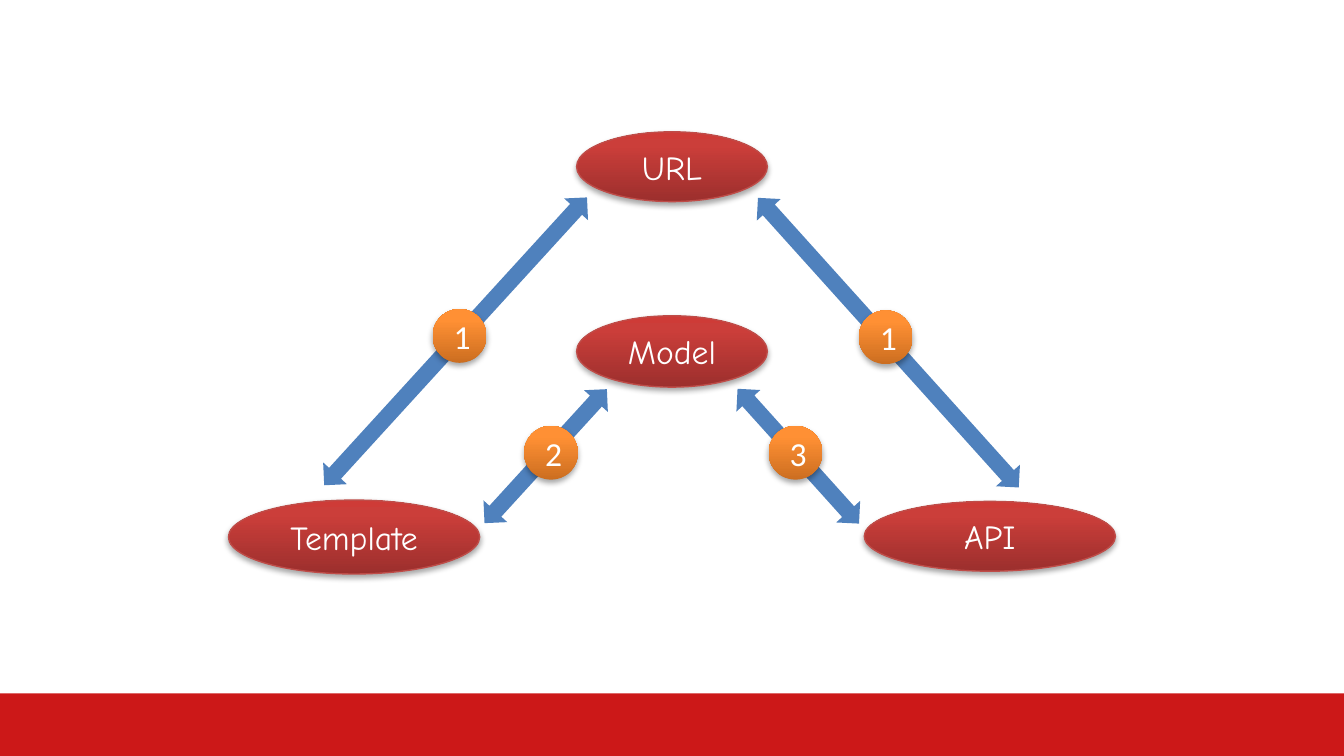
from copy import deepcopy

from lxml.etree import SubElement
from pptx import Presentation
from pptx.dml.color import RGBColor
from pptx.enum.shapes import MSO_SHAPE
from pptx.enum.text import MSO_ANCHOR, PP_ALIGN
from pptx.oxml.ns import qn
from pptx.util import Pt

RED_STOPS = ((0, "9C2F2D"), (0.8, "CB3E3A"), (1, "CE3B37"))
ORANGE_STOPS = ((0, "CC6E20"), (0.8, "FF9034"), (1, "FF9136"))
NODES = (
    ("Template", (0, 197.3, 134.6, 39.6)),
    ("Model", (186.5, 98.6, 102.2, 38.2)),
    ("API", (340.6, 198, 134.6, 37.4)),
    ("URL", (186.5, 0, 102.2, 37.4)),
)
ARROWS = (
    (113, 7.9, 208.8, 42.4),
    (161.3, 125.2, 97.2, 42.4),
    (296.6, 125.2, 97.2, 318),
    (344.9, 8.6, 208.8, 318),
)
BADGES = (
    ("1", 109.4, 95),
    ("1", 337.7, 95.7),
    ("2", 158.4, 157.6),
    ("3", 289.4, 157.6),
)
ARROW_WIDTH = 17.3
BADGE_SIZE = 28.8


def color(value):
    """Turn a hex string into a colour."""
    return RGBColor.from_string(value)


def add_plain(slide, preset, box, fill=None):
    """Add a shape without line or shadow, with an optional solid fill."""
    shape = slide.shapes.add_shape(preset, *map(Pt, box))
    shape.shadow.inherit = False
    shape.line.fill.background()
    if fill:
        shape.fill.solid()
        shape.fill.fore_color.rgb = color(fill)
    return shape


def set_gradient(shape, stops):
    """Fill a shape with a gradient that runs from bottom to top."""
    shape.fill.gradient()
    shape.fill.gradient_angle = 90
    stop_list = shape._element.spPr.find(".//" + qn("a:gsLst"))
    stop_list.append(deepcopy(stop_list[0]))
    for stop, (position, value) in zip(shape.fill.gradient_stops, stops):
        stop.position = position
        stop.color.rgb = color(value)


def add_shadow(shape):
    """Give a shape a soft shadow below it."""
    effects = shape._element.spPr.find(qn("a:effectLst"))
    shadow = SubElement(effects, qn("a:outerShdw"), blurRad=str(Pt(3.1)),
                        dist=str(Pt(1.8)), dir="5400000", rotWithShape="0")
    black = SubElement(shadow, qn("a:srgbClr"), val="000000")
    SubElement(black, qn("a:alpha"), val="35000")


def add_oval(slide, box, text, font_name, stops):
    """Add a shaded oval with a centred white label."""
    shape = add_plain(slide, MSO_SHAPE.FLOWCHART_CONNECTOR, box)
    set_gradient(shape, stops)
    add_shadow(shape)
    shape.text_frame.vertical_anchor = MSO_ANCHOR.MIDDLE
    paragraph = shape.text_frame.paragraphs[0]
    paragraph.alignment = PP_ALIGN.CENTER
    run = paragraph.add_run()
    run.text = text
    for name, value in {"name": font_name, "size": Pt(18)}.items():
        setattr(run.font, name, value)
    run.font.color.rgb = color("FFFFFF")
    return shape


def add_diagram(slide, left, top):
    """Place the nodes, the arrows between them and the numbered badges."""
    for text, (x, y, width, height) in NODES:
        node = add_oval(slide, (left + x, top + y, width, height),
                        text, "Comic Neue", RED_STOPS)
        node.line.color.rgb = color("BF4C48")
        node.line.width = Pt(0.75)
    for x, y, length, rotation in ARROWS:
        arrow = add_plain(slide, MSO_SHAPE.UP_DOWN_ARROW,
                          (left + x, top + y, ARROW_WIDTH, length), "4F81BD")
        arrow.rotation = rotation
    for text, x, y in BADGES:
        add_oval(slide, (left + x, top + y, BADGE_SIZE, BADGE_SIZE),
                 text, "Calibri", ORANGE_STOPS)


def main():
    """Build the slide and save it."""
    presentation = Presentation()
    presentation.slide_width = Pt(720)
    presentation.slide_height = Pt(405)
    slide = presentation.slides.add_slide(presentation.slide_layouts[6])
    add_plain(slide, MSO_SHAPE.RECTANGLE, (0, 371.5, 720, 33.5), "CC1818")
    add_diagram(slide, 122.4, 70.6)
    presentation.save("out.pptx")


if __name__ == "__main__":
    main()
